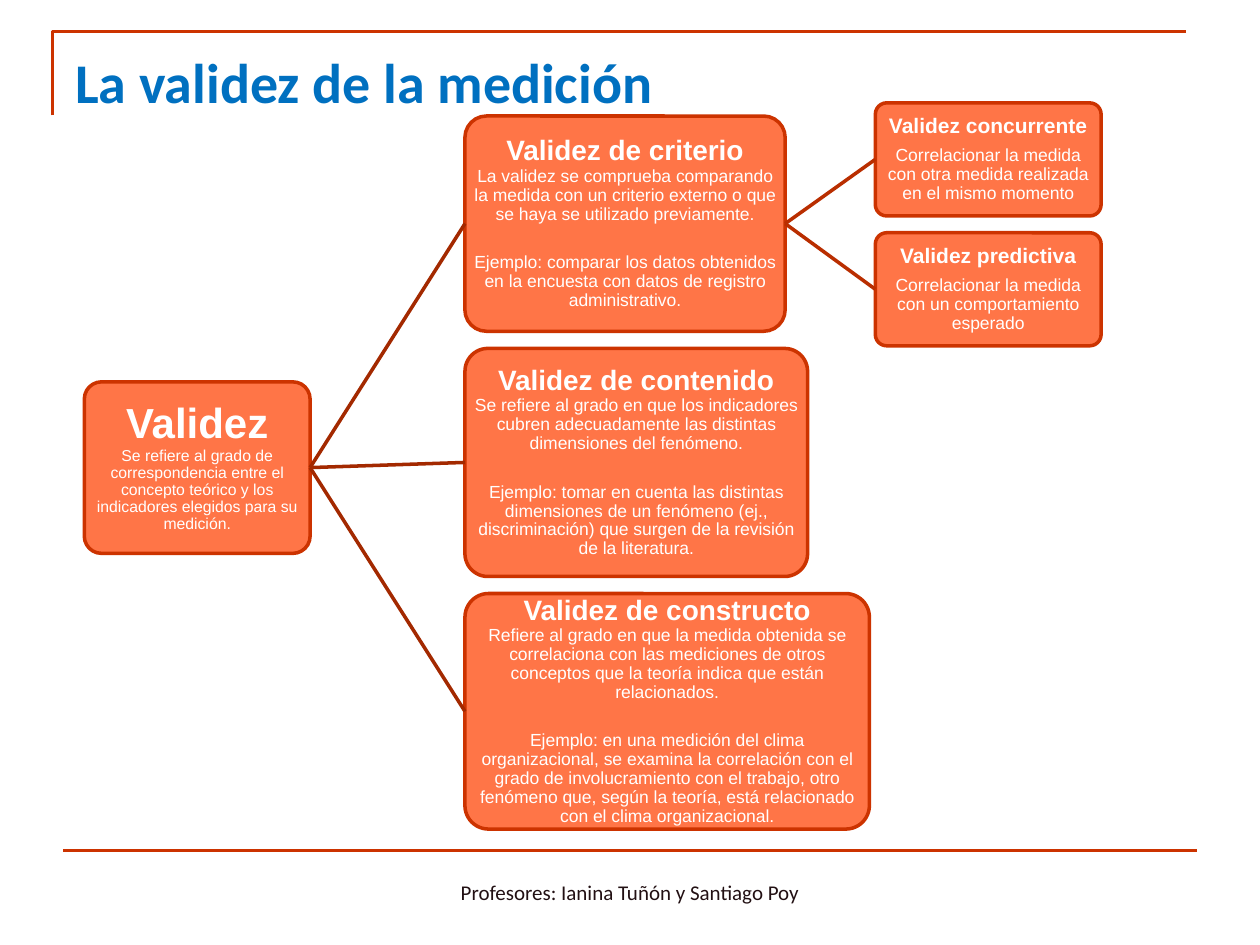
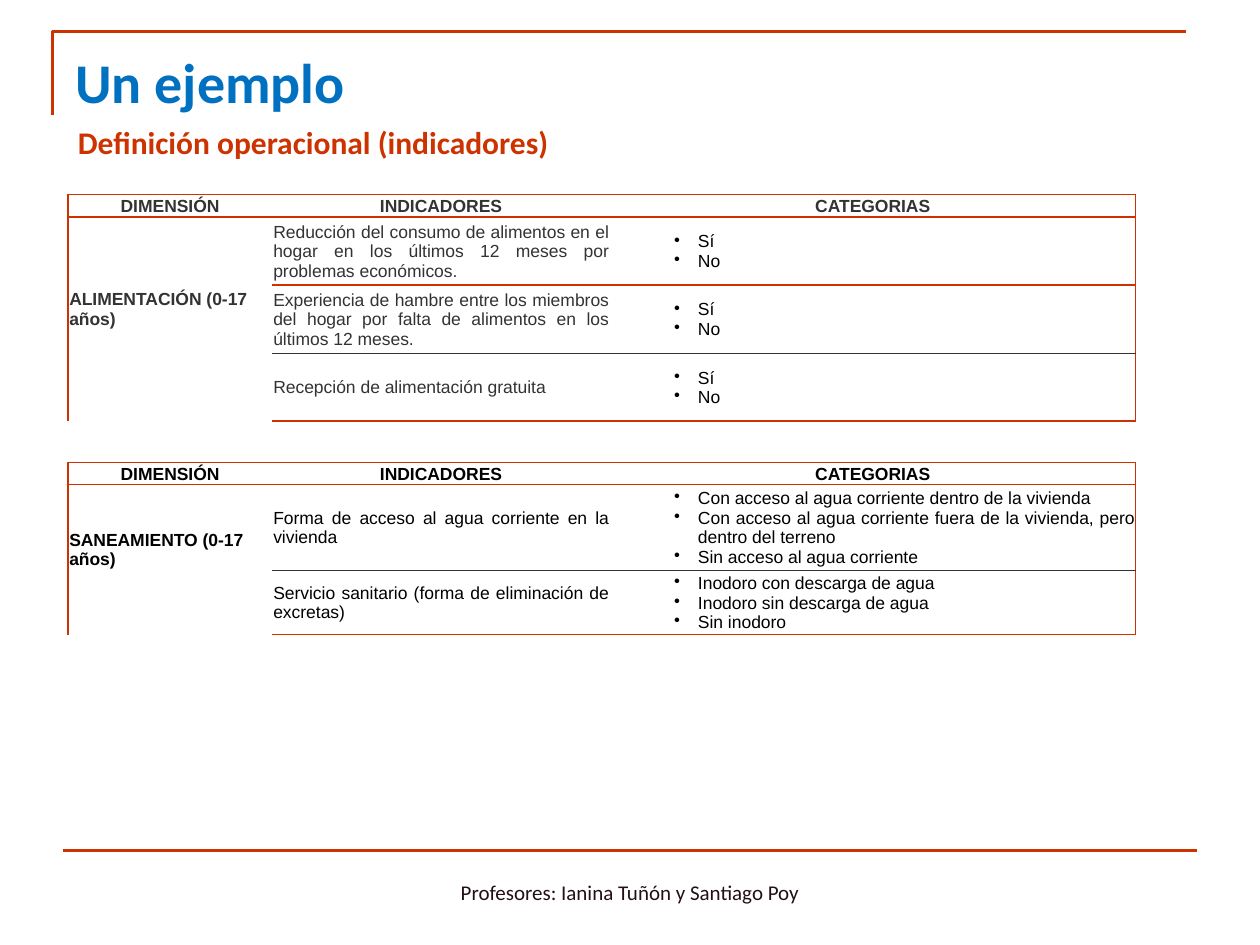
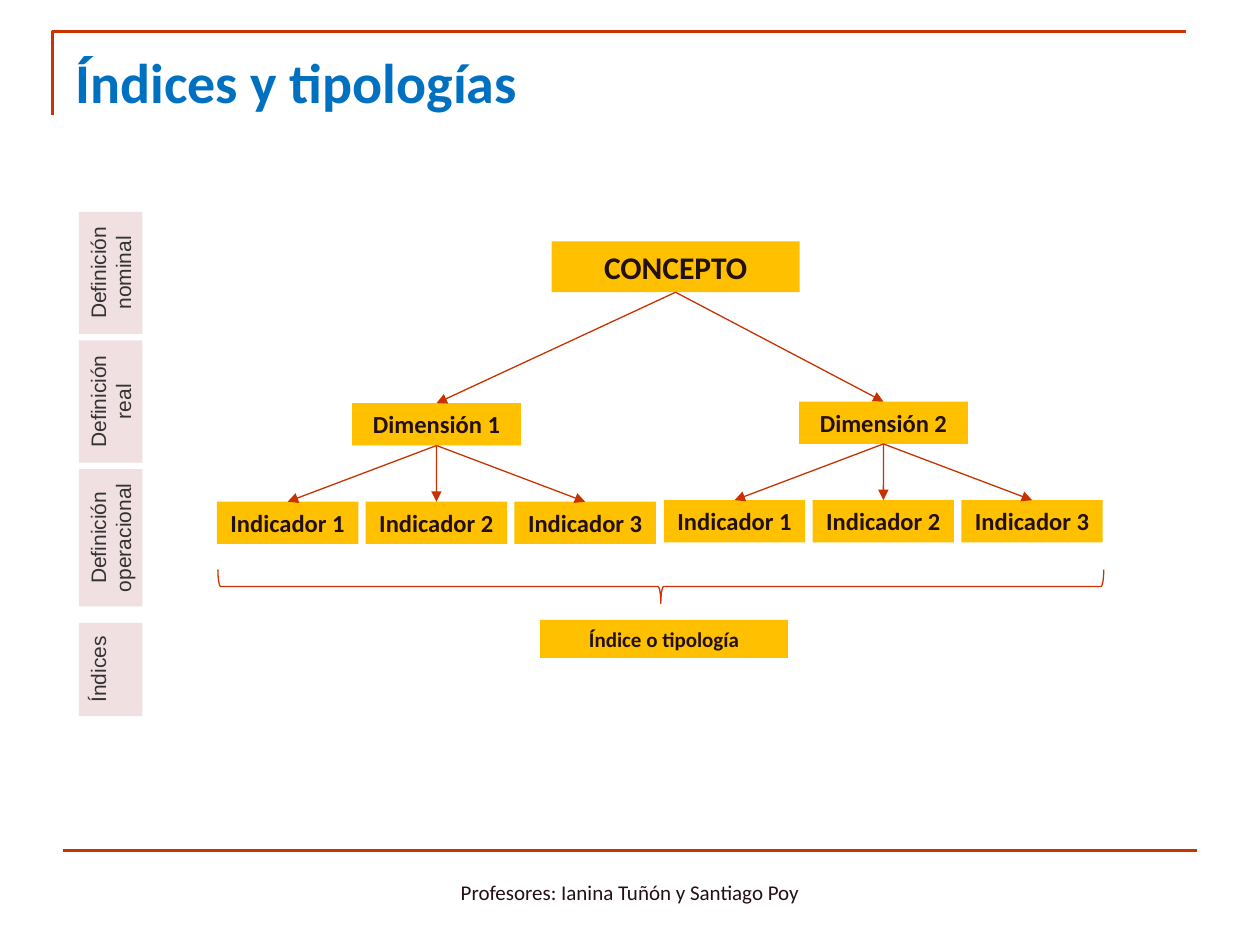
from lxml import etree
from pptx import Presentation
from pptx import util as u
from pptx.dml.color import RGBColor
from pptx.enum import shapes, text
from pptx.oxml import ns

COLORS = {
    "accent": "CC3300", "title": "0070C0", "box": "FF7547", "white": "FFFFFF",
    "link": "A32900", "sublink": "B92E00", "node": "FFC000", "ink": "221013",
    "arrow": "C83200", "label": "F0E0E2", "grey": "333333", "black": "000000",
}
Pt = u.Pt
ALIGN = text.PP_ALIGN
ANCHOR = text.MSO_ANCHOR
SHAPE = shapes.MSO_SHAPE


def rgb(name):
    return RGBColor.from_string(COLORS[name])


def style(para, size, color, bold=False, font="Arial", align=ALIGN.CENTER):
    para.alignment = align
    para.font.size = Pt(size)
    para.font.name = font
    para.font.bold = bold
    para.font.color.rgb = rgb(color)


def set_margins(frame, left, top, right, bottom):
    frame.margin_left, frame.margin_top = Pt(left), Pt(top)
    frame.margin_right, frame.margin_bottom = Pt(right), Pt(bottom)


def paint(shape, fill=None, line=None, line_width=1):
    shape.shadow.inherit = False
    if fill:
        shape.fill.solid()
        shape.fill.fore_color.rgb = rgb(fill)
    else:
        shape.fill.background()
    if line:
        shape.line.color.rgb = rgb(line)
        shape.line.width = Pt(line_width)
    else:
        shape.line.fill.background()


def add_box(page, kind, left, top, width, height, **look):
    box = page.shapes.add_shape(kind, Pt(left), Pt(top), Pt(width), Pt(height))
    paint(box, **look)
    box.text_frame.word_wrap = True
    return box


def add_line(page, start, end, color, width, arrow=False):
    """Draw a straight line between two points, given in points."""
    line = page.shapes.add_connector(
        shapes.MSO_CONNECTOR.STRAIGHT, *(Pt(v) for v in (*start, *end)))
    line.line.color.rgb = rgb(color)
    line.line.width = Pt(width)
    if arrow:
        outline = line._element.spPr.find(ns.qn("a:ln"))
        etree.SubElement(outline, ns.qn("a:tailEnd"), type="triangle")
    etree.SubElement(line._element.spPr, ns.qn("a:effectLst"))
    return line


def join(page, parent, child, sites, color, width, arrow=False):
    """Connect a site of the parent to a site of the child."""
    line = add_line(page, (0, 0), (0, 0), color, width, arrow)
    line.begin_connect(parent, sites[0])
    line.end_connect(child, sites[1])


def add_text(page, left, top, width, height, words, size, color, bold=False,
             align=ALIGN.LEFT, anchor=ANCHOR.TOP):
    box = page.shapes.add_textbox(Pt(left), Pt(top), Pt(width), Pt(height))
    frame = box.text_frame
    frame.word_wrap = True
    frame.vertical_anchor = anchor
    frame.text = words
    style(frame.paragraphs[0], size, color, bold, "Calibri", align)
    return frame


def new_page(deck, title):
    """Add a page with the frame lines, title and footer."""
    page = deck.slides.add_slide(deck.slide_layouts[6])
    outline = page.shapes.build_freeform(Pt(30), Pt(66))
    outline.add_line_segments([(Pt(30), Pt(18)), (Pt(678), Pt(18))], close=False)
    paint(outline.convert_to_shape(), line="accent", line_width=1.5)
    add_line(page, (36, 486), (684, 486), "accent", 1.5)
    frame = add_text(page, 36, 21.6, 664, 44, title, 32, "title", bold=True)
    set_margins(frame, 7.2, 5.6, 7.2, 0)
    add_text(page, 246, 492, 228, 36, "Profesores: Ianina Tuñón y Santiago Poy",
             12, "ink", align=ALIGN.CENTER, anchor=ANCHOR.MIDDLE)
    return page


# Validity tree

def add_validity(page, place, heading, sizes, *body, heading_gap=0):
    box = add_box(page, SHAPE.ROUNDED_RECTANGLE, *place,
                  fill="box", line="accent", line_width=2)
    box.adjustments[0] = 0.1
    frame = box.text_frame
    frame.vertical_anchor = ANCHOR.MIDDLE
    set_margins(frame, 1, 1, 1, 1)
    frame.text = "\n".join((heading, *body))
    for index, para in enumerate(frame.paragraphs):
        style(para, sizes[min(index, 1)], "white", bold=index == 0)
        para.line_spacing = 0.9
        para.space_before = Pt((0, heading_gap, 17)[index])
    return box


def validity_page(deck):
    page = new_page(deck, "La validez de la medición")
    root = add_validity(
        page, (48.2, 218.2, 129, 98), "Validez", (24, 9),
        "Se refiere al grado de correspondencia entre el concepto teórico y los "
        "indicadores elegidos para su medición.")
    types = [
        (183, 123, "Validez de criterio",
         "La validez se comprueba comparando la medida con un criterio externo o "
         "que se haya se utilizado previamente.",
         "Ejemplo: comparar los datos obtenidos en la encuesta con datos de "
         "registro administrativo."),
        (195.8, 130.3, "Validez de contenido",
         "Se refiere al grado en que los indicadores cubren adecuadamente las "
         "distintas dimensiones del fenómeno.",
         "Ejemplo: tomar en cuenta las distintas dimensiones de un fenómeno (ej., "
         "discriminación) que surgen de la revisión de la literatura."),
        (231.1, 134.6, "Validez de constructo",
         "Refiere al grado en que la medida obtenida se correlaciona con las "
         "mediciones de otros conceptos que la teoría indica que están relacionados.",
         "Ejemplo: en una medición del clima organizacional, se examina la "
         "correlación con el grado de involucramiento con el trabajo, otro fenómeno "
         "que, según la teoría, está relacionado con el clima organizacional."),
    ]
    gap, top, branches = 9.8, 66.3, []
    for width, height, heading, *body in types:
        branch = add_validity(page, (265.7, top, width, height), heading, (16, 10), *body)
        join(page, root, branch, (3, 1), "link", 2)
        branches.append(branch)
        top += height + gap

    # Subtypes of criterion validity
    subtypes = [
        ("Validez concurrente",
         "Correlacionar la medida con otra medida realizada en el mismo momento"),
        ("Validez predictiva",
         "Correlacionar la medida con un comportamiento esperado"),
    ]
    for index, (heading, body) in enumerate(subtypes):
        leaf = add_validity(page, (500.2, 58.8 + index * 74.2, 129, 64.6), heading,
                            (12, 10), body, heading_gap=4.5)
        join(page, branches[0], leaf, (3, 1), "sublink", 2)


# Indicator tables

def set_borders(cell, **sides):
    """Set the L, R, T and B borders; None hides one."""
    props = cell._tc.get_or_add_tcPr()
    for index, side in enumerate("LRTB"):
        color = sides.get(side)
        width = 0.5 if color == "grey" else 1
        line = etree.Element(ns.qn("a:ln" + side), w=str(Pt(width)))
        if color:
            fill = etree.SubElement(line, ns.qn("a:solidFill"))
            etree.SubElement(fill, ns.qn("a:srgbClr"), val=COLORS[color])
        else:
            etree.SubElement(line, ns.qn("a:noFill"))
        props.insert(index, line)


def add_bullet(para):
    props = para._p.get_or_add_pPr()
    props.set("marL", str(Pt(49.7)))
    props.set("indent", str(Pt(-13.7)))
    etree.SubElement(props, ns.qn("a:buChar"), char="•")


def fill_cell(cell, words, color, bold=False, align=ALIGN.JUSTIFY, bullets=False, bottom=0):
    cell.vertical_anchor = ANCHOR.MIDDLE
    set_margins(cell, 0.7, 0.7, 0.7, bottom)
    cell.text = words
    for para in cell.text_frame.paragraphs:
        if bullets:
            add_bullet(para)
        style(para, 10, color, bold, align=align)


def add_indicators(page, top, heights, color, rules, dimension, indicators):
    """rules holds the colours of the horizontal lines, from top to bottom."""
    widths = (116.6, 193, 300.4)
    count = len(heights)
    table = page.shapes.add_table(count, 3, Pt(38.9), Pt(top), Pt(sum(widths)),
                                  Pt(sum(heights))).table
    for column, width in zip(table.columns, widths):
        column.width = Pt(width)
    for row, height in zip(table.rows, heights):
        row.height = Pt(height)
    for r in range(count):
        for c in range(3):
            cell = table.cell(r, c)
            cell.fill.solid()
            cell.fill.fore_color.rgb = rgb("white")
            above, below = rules[r:r + 2]
            if c == 0:
                above = above if r < 2 else None
                below = below if r in (0, count - 1) else None
            set_borders(cell, T=above, B=below, L="accent" if c == 0 else None,
                        R="accent" if c == 2 else None)
    for c, heading in enumerate(("DIMENSIÓN", "INDICADORES", "CATEGORIAS")):
        fill_cell(table.cell(0, c), heading, color, True, ALIGN.CENTER)
    table.cell(1, 0).merge(table.cell(count - 1, 0))
    fill_cell(table.cell(1, 0), dimension, color, True, ALIGN.LEFT, bottom=11.5)
    for r, (indicator, categories) in enumerate(indicators, 1):
        fill_cell(table.cell(r, 1), indicator, color)
        fill_cell(table.cell(r, 2), "\n".join(categories), "black", bullets=True)


def example_page(deck):
    page = new_page(deck, "Un ejemplo")
    add_text(page, 37.4, 67, 469.4, 29, "Definición operacional (indicadores)",
             18, "accent", bold=True, align=ALIGN.JUSTIFY)
    yes_no = ("Sí", "No")
    add_indicators(
        page, 111.3, (12, 38.9, 38.9, 38.9), "grey",
        ("accent", "accent", "accent", "grey", "accent"), "ALIMENTACIÓN (0-17 años)",
        [("Reducción del consumo de alimentos en el hogar en los últimos 12 meses "
          "por problemas económicos.", yes_no),
         ("Experiencia de hambre entre los miembros del hogar por falta de alimentos "
          "en los últimos 12 meses.", yes_no),
         ("Recepción de alimentación gratuita", yes_no)])
    add_indicators(
        page, 264.2, (12.5, 49, 36.5), "black",
        ("accent", "accent", "grey", "accent"), "SANEAMIENTO (0-17 años)",
        [("Forma de acceso al agua corriente en la vivienda",
          ("Con acceso al agua corriente dentro de la vivienda",
           "Con acceso al agua corriente fuera de la vivienda, pero dentro del terreno",
           "Sin acceso al agua corriente")),
         ("Servicio sanitario (forma de eliminación de excretas)",
          ("Inodoro con descarga de agua", "Inodoro sin descarga de agua",
           "Sin inodoro"))])


# Concept tree

def add_node(page, left, top, width, height, words, size):
    node = add_box(page, SHAPE.RECTANGLE, left, top, width, height, fill="node")
    frame = node.text_frame
    frame.word_wrap = False
    frame.vertical_anchor = ANCHOR.TOP
    frame.text = words
    style(frame.paragraphs[0], size, "ink", True, "Calibri")
    return node


def add_stage(page, middle, length, words):
    """Add a label turned to read upwards, centred at the given height."""
    thickness = 36.3
    label = add_box(page, SHAPE.RECTANGLE, 63.2 - length / 2, middle - thickness / 2,
                    length, thickness, fill="label")
    label.rotation = 270
    label.text_frame.vertical_anchor = ANCHOR.TOP
    label.text_frame.text = words
    for para in label.text_frame.paragraphs:
        style(para, 12, "grey")


def index_page(deck):
    page = new_page(deck, "Índices y tipologías")
    concept = add_node(page, 315.2, 138, 141.7, 29, "CONCEPTO", 18)
    for branch in range(2):
        shift, drop = branch * 255.4, branch * -0.9
        dimension = add_node(page, 201.2 + shift, 230.4 + drop, 96.5, 24.2,
                             f"Dimensión {branch + 1}", 14)
        join(page, concept, dimension, (2, 0), "arrow", 0.75, arrow=True)
        for i in range(3):
            indicator = add_node(page, 124 + shift + i * 85, 286.7 + drop, 80.8, 24.2,
                                 f"Indicador {i + 1}", 14)
            join(page, dimension, indicator, (2, 0), "arrow", 0.75, arrow=True)
    add_node(page, 308.6, 354.2, 141.7, 21.8, "Índice o tipología", 12)
    brace = add_box(page, SHAPE.RIGHT_BRACE, 367.9, 82.1, 19.4, 506.2,
                    line="accent", line_width=0.75)
    brace.rotation = 90

    # Stages of the definition
    add_stage(page, 155.9, 69.8, "Definición\nnominal")
    add_stage(page, 229.4, 69.8, "Definición\nreal")
    add_stage(page, 307.3, 78.5, "Definición\noperacional")
    add_stage(page, 382.5, 53.3, "Índices")


def main():
    deck = Presentation()
    deck.slide_width, deck.slide_height = Pt(720), Pt(540)
    validity_page(deck)
    example_page(deck)
    index_page(deck)
    deck.save("out.pptx")


if __name__ == "__main__":
    main()
